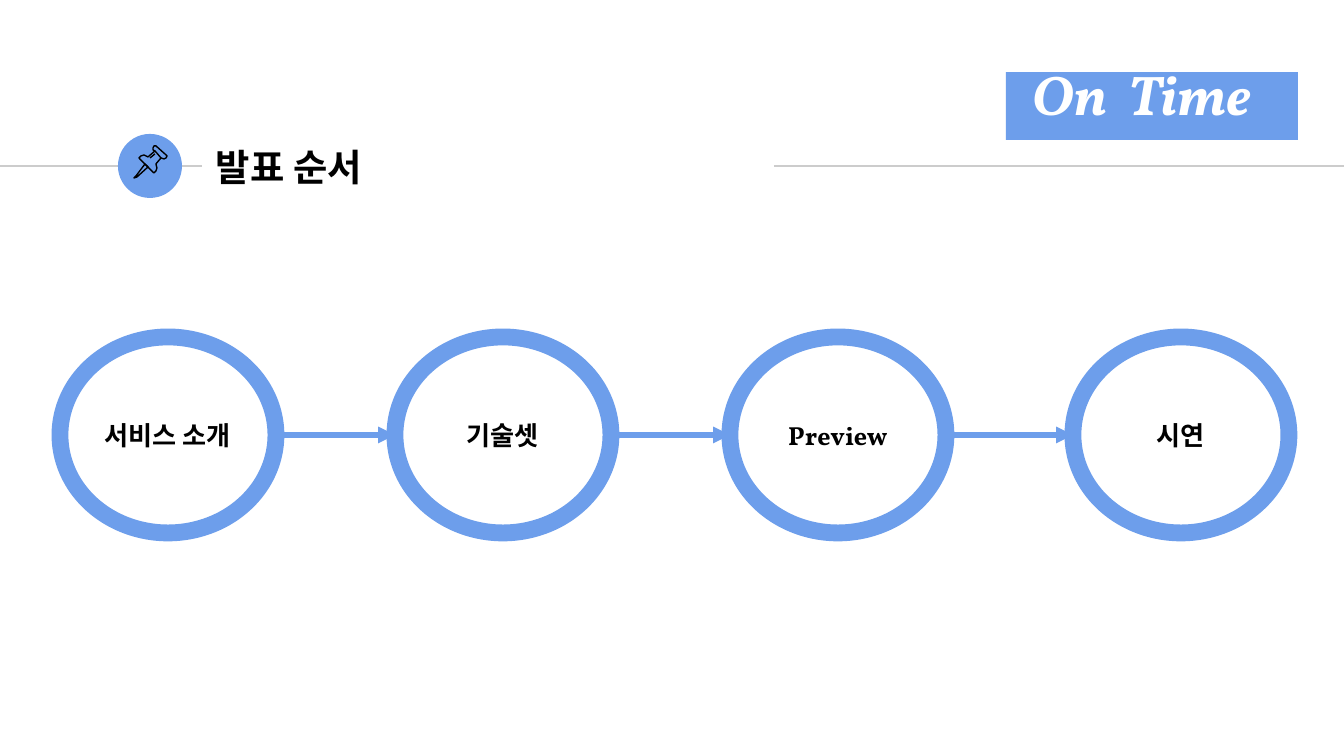
from lxml import etree
from pptx import Presentation
from pptx.dml.color import RGBColor
from pptx.enum.shapes import MSO_CONNECTOR, MSO_SHAPE
from pptx.enum.text import MSO_ANCHOR, PP_ALIGN
from pptx.oxml.ns import qn
from pptx.util import Pt

PX = 914400 / 134.4
OVAL, RECT = MSO_SHAPE.OVAL, MSO_SHAPE.RECTANGLE
STRAIGHT = MSO_CONNECTOR.STRAIGHT
TOP, MIDDLE = MSO_ANCHOR.TOP, MSO_ANCHOR.MIDDLE
LEFT, CENTER = PP_ALIGN.LEFT, PP_ALIGN.CENTER
BLUE, GREY, BLACK, WHITE = "6D9EEB", "CCCCCC", "000000", "FFFFFF"


def px(*lengths):
    return [round(length * PX) for length in lengths]


def color(hex_string):
    return RGBColor.from_string(hex_string)


prs = Presentation()
prs.slide_width, prs.slide_height = px(1344, 756)
slide = prs.slides.add_slide(prs.slide_layouts[6])
shapes = slide.shapes

rules = [shapes.add_connector(STRAIGHT, *px(start, 166, end, 166))
         for start, end in [(0, 202), (774, 1344)]]

banner = shapes.add_shape(RECT, *px(1006, 72, 292, 68))
badge = shapes.add_shape(OVAL, *px(118, 134, 64, 64))
for solid in (banner, badge):
    solid.shadow.inherit = False
    solid.fill.solid()
    solid.fill.fore_color.rgb = color(BLUE)
    solid.line.fill.background()

step_width, step_height, step_top = 216, 196, 337
step_lefts = [60, 395, 730, 1073]
labels = []
for left, name in zip(step_lefts, ["서비스 소개", "기술셋", "Preview", "시연"]):
    step = shapes.add_shape(OVAL, *px(left, step_top, step_width, step_height))
    step.shadow.inherit = False
    step.fill.background()
    step.line.color.rgb = color(BLUE)
    step.line.width = Pt(9)
    labels.append((step, name, 14, BLACK, MIDDLE, CENTER))

middle = step_top + step_height // 2
arrows = [shapes.add_connector(STRAIGHT, *px(left + step_width, middle, following, middle))
          for left, following in zip(step_lefts, step_lefts[1:])]

for connectors, hex_string, width in [(rules, GREY, 0.75), (arrows, BLUE, 3)]:
    for connector in connectors:
        connector.line.color.rgb = color(hex_string)
        connector.line.width = Pt(width)
        etree.SubElement(connector._element.spPr, qn("a:effectLst"))
for arrow in arrows:
    outline = arrow._element.spPr.find(qn("a:ln"))
    etree.SubElement(outline, qn("a:tailEnd"), type="triangle")

pin_parts = [
    ([(145, 164), (136, 176), (134, 178), (137, 177), (148, 167)], True),
    ([(155, 151), (161, 158), (164, 159), (166, 158), (167, 156), (166, 155),
      (156, 146), (154, 146), (153, 148), (153, 150)], True),
    ([(155, 151), (148, 157), (144, 155), (141, 156), (139, 158), (140, 159),
      (153, 172), (154, 173), (156, 171), (157, 168), (156, 164), (161, 158)], False),
    ([(150, 158), (155, 154)], False),
]
pin = shapes.add_group_shape()
for points, closed in pin_parts:
    builder = pin.shapes.build_freeform(*points[0], scale=PX)
    builder.add_line_segments(points[1:], close=closed)
    part = builder.convert_to_shape()
    part.shadow.inherit = False
    part.fill.background()
    part.line.color.rgb = color(BLACK)
    part.line.width = Pt(0.75)

title = shapes.add_textbox(*px(203, 134, 570, 65))
team = shapes.add_textbox(*px(1019, 47, 380, 109))
labels.append((title, "발표 순서", 20, BLACK, MIDDLE, LEFT))
labels.append((team, "On  Time", 30, WHITE, TOP, LEFT))

for holder, wording, size, hex_string, anchor, alignment in labels:
    frame = holder.text_frame
    frame.word_wrap = True
    frame.vertical_anchor = anchor
    frame.margin_left, frame.margin_top, frame.margin_right, frame.margin_bottom = px(13, 13, 13, 13)
    paragraph = frame.paragraphs[0]
    paragraph.text = wording
    paragraph.alignment = alignment
    paragraph.font.name = "Vollkorn"
    paragraph.font.size = Pt(size)
    paragraph.font.bold = True
    paragraph.font.color.rgb = color(hex_string)

motto = team.text_frame.paragraphs[0]
motto.space_before = Pt(6)
motto.font.italic = True

prs.save("out.pptx")
